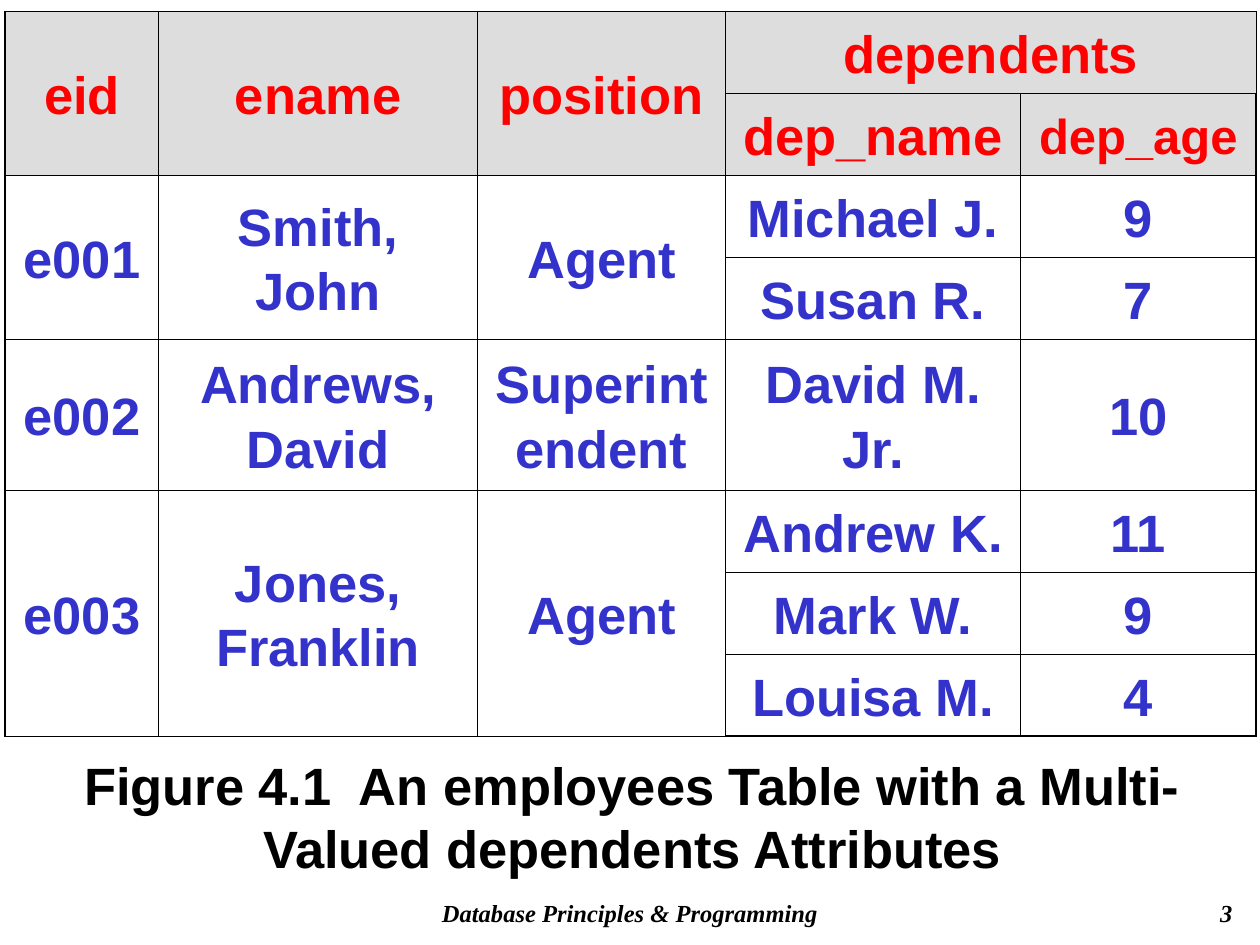
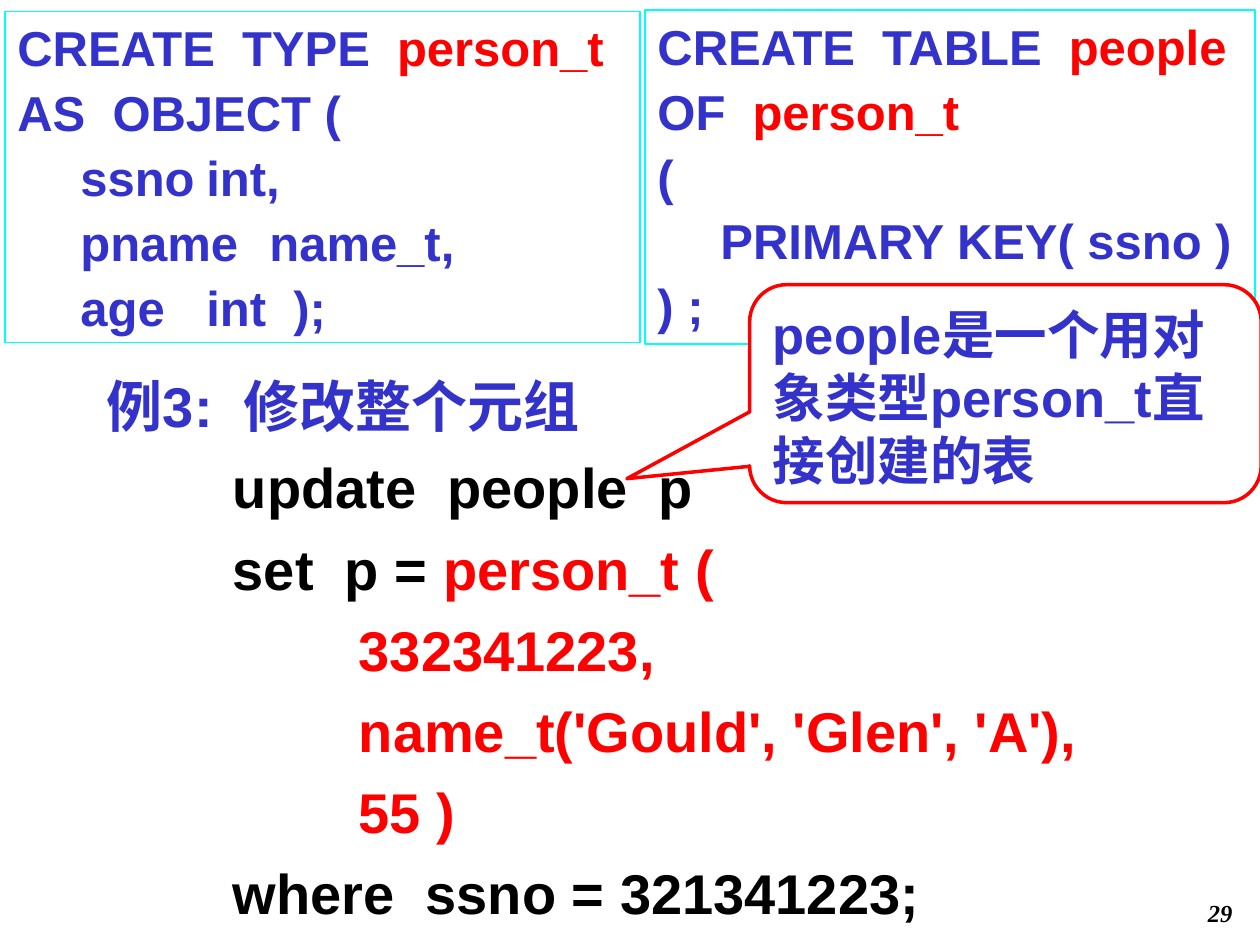
from dataclasses import dataclass

from lxml import etree
from pptx import Presentation
from pptx.dml.color import RGBColor
from pptx.enum.shapes import MSO_SHAPE
from pptx.enum.text import MSO_ANCHOR, PP_ALIGN
from pptx.oxml.ns import qn
from pptx.util import Inches, Pt

LEFT, CENTER, RIGHT = PP_ALIGN.LEFT, PP_ALIGN.CENTER, PP_ALIGN.RIGHT
TOP, MIDDLE = MSO_ANCHOR.TOP, MSO_ANCHOR.MIDDLE
RECTANGLE = MSO_SHAPE.RECTANGLE
CALLOUT = MSO_SHAPE.ROUNDED_RECTANGULAR_CALLOUT


@dataclass(frozen=True)
class Theme:
    sans: str = "Arial"
    serif: str = "Times New Roman"
    black: str = "000000"
    white: str = "FFFFFF"
    red: str = "FF0000"
    blue: str = "3333CC"
    cyan: str = "00FFFF"
    header_grey: str = "DDDDDD"
    footer_size: int = 14
    code_size: int = 28
    figure_size: int = 30
    example_size: int = 32
    line_height: float = 1.2
    cell_spacing: float = 1.1
    inner_border: float = 0.45
    outer_border: float = 1.08


THEME = Theme()


def rgb(color):
    return RGBColor.from_string(color)


def set_font(font, size, color=None, name=THEME.sans, italic=None):
    font.name = name
    font.size = Pt(size)
    font.bold = True
    font.italic = italic
    if color:
        font.color.rgb = rgb(color)


def set_tabs(paragraph, stops):
    tab_list = etree.SubElement(paragraph._p.get_or_add_pPr(), qn("a:tabLst"))
    for stop in stops:
        etree.SubElement(tab_list, qn("a:tab"), pos=str(Inches(stop)), algn="l")


def set_indent(paragraph, indent):
    properties = paragraph._p.get_or_add_pPr()
    properties.set("marL", str(Inches(indent)))
    properties.set("indent", "0")


def write_lines(frame, lines, size, align=LEFT, gap=0, tabs=(), **font_style):
    frame.word_wrap = True
    frame.vertical_anchor = TOP
    for number, (indent, pieces) in enumerate(lines):
        paragraph = frame.add_paragraph() if number else frame.paragraphs[0]
        set_indent(paragraph, indent)
        if tabs:
            set_tabs(paragraph, tabs)
        paragraph.alignment = align
        paragraph.line_spacing = Pt(size * THEME.line_height)
        paragraph.space_before = Pt(gap if number else 0)
        shared_color = pieces[0][1] if len(pieces) == 1 else None
        set_font(paragraph.font, size, shared_color, **font_style)
        for text, color in pieces:
            run = paragraph.add_run()
            run.text = text
            if not shared_color:
                run.font.color.rgb = rgb(color)


def add_label(slide, box, text, size, align, **font_style):
    label = slide.shapes.add_textbox(*map(Inches, box))
    write_lines(label.text_frame, [(0, [(text, THEME.black)])], size, align, **font_style)


def add_panel(slide, box, lines, size, outline=None, width=0.75, kind=RECTANGLE, **text_style):
    panel = slide.shapes.add_shape(kind, *map(Inches, box))
    panel.shadow.inherit = False
    panel.fill.solid()
    panel.fill.fore_color.rgb = rgb(THEME.white)
    if outline:
        panel.line.color.rgb = rgb(outline)
        panel.line.width = Pt(width)
    else:
        panel.line.fill.background()
    write_lines(panel.text_frame, lines, size, **text_style)
    return panel


def add_footer(slide, number, course=None):
    style = dict(name=THEME.serif, italic=True)
    if course:
        add_label(slide, (2.75, 7.08, 4.5, 0.33), course, THEME.footer_size, CENTER, **style)
    add_label(slide, (7.8, 7.08, 2.08, 0.33), str(number), THEME.footer_size, RIGHT, **style)


def set_borders(cell, outer_sides):
    properties = cell._tc.get_or_add_tcPr()
    for side in "LRTB":
        width = THEME.outer_border if side in outer_sides else THEME.inner_border
        line = etree.SubElement(properties, qn(f"a:ln{side}"), w=str(Pt(width)))
        fill = etree.SubElement(line, qn("a:solidFill"))
        etree.SubElement(fill, qn("a:srgbClr"), val=THEME.black)


def fill_cell(cell, text, is_header, size):
    cell.vertical_anchor = MIDDLE
    if is_header:
        cell.fill.solid()
        cell.fill.fore_color.rgb = rgb(THEME.header_grey)
    else:
        cell.fill.background()
    if text:
        paragraph = cell.text_frame.paragraphs[0]
        paragraph.alignment = CENTER
        paragraph.line_spacing = THEME.cell_spacing
        set_font(paragraph.font, size, THEME.red if is_header else THEME.blue)
        paragraph.add_run().text = text


def add_grid(slide, box, columns, heights, rows, merges, header_rows, small_labels):
    last_row, last_column = len(rows) - 1, len(columns) - 1
    frame = slide.shapes.add_table(len(rows), len(columns), *map(Inches, box))
    table = frame.table
    table.first_row = table.horz_banding = False
    for column, width in zip(table.columns, columns):
        column.width = Inches(width)
    for row, height in zip(table.rows, heights):
        row.height = Inches(height)
    for r, labels in enumerate(rows):
        for c, text in enumerate(labels):
            cell = table.cell(r, c)
            edges = {"L": c == 0, "R": c == last_column, "T": r == 0, "B": r == last_row}
            set_borders(cell, [side for side, outer in edges.items() if outer])
            size = THEME.code_size if text in small_labels else THEME.figure_size
            fill_cell(cell, text, r < header_rows, size)
    for first, last in merges:
        table.cell(*first).merge(table.cell(*last))


def build_employees(slide):
    add_footer(slide, 3, "Database Principles & Programming")
    rows = [
        ("eid", "ename", "position", "dependents", ""),
        ("", "", "", "dep_name", "dep_age"),
        ("e001", "Smith, John", "Agent", "Michael J.", "9"),
        ("", "", "", "Susan R.", "7"),
        ("e002", "Andrews, David", "Superintendent", "David M. Jr.", "10"),
        ("e003", "Jones, Franklin", "Agent", "Andrew K.", "11"),
        ("", "", "", "Mark W.", "9"),
        ("", "", "", "Louisa M.", "4"),
    ]
    employee_spans = [(0, 1), (2, 3), (5, 7)]
    merges = [((top, c), (bottom, c)) for top, bottom in employee_spans for c in range(3)]
    merges.append(((0, 3), (0, 4)))
    heights = [1.2 if row[0] == "e002" else 0.65 for row in rows]
    add_grid(slide, (0.04, 0.09, 9.92, 5.76), (1.22, 2.53, 1.97, 2.34, 1.87),
             heights, rows, merges, header_rows=2, small_labels={"dep_age"})
    add_label(slide, (0.04, 5.93, 9.96, 1.1),
              "Figure 4.1  An employees Table with a Multi-Valued dependents Attributes",
              THEME.figure_size, CENTER)


def build_update(slide):
    black, red, blue = THEME.black, THEME.red, THEME.blue
    add_footer(slide, 29)
    update_example = [
        (0, [("例3:  修改整个元组", blue)]),
        (1, [("update  people  p", black)]),
        (1, [("set  p = ", black), ("person_t (", red)]),
        (2, [("332341223,", red)]),
        (2, [("name_t('Gould', 'Glen', 'A'),", red)]),
        (2, [("55 )", red)]),
        (1, [("where  ssno = 321341223;", black)]),
    ]
    person_type = [
        (0, [("CREATE  TYPE  ", blue), ("person_t", red)]),
        (0, [("AS  OBJECT (", blue)]),
        (0, [("\tssno\tint,", blue)]),
        (0, [("\tpname\tname_t,", blue)]),
        (0, [("\tage\tint  );", blue)]),
    ]
    people_table = [
        (0, [("CREATE  TABLE  ", blue), ("people", red)]),
        (0, [("OF  ", blue), ("person_t", red)]),
        (0, [("(", blue)]),
        (0.5, [("PRIMARY KEY( ssno )", blue)]),
        (0, [(") ;", blue)]),
    ]
    people_note = [(0, [("people是一个用对象类型person_t直接创建的表", blue)])]

    add_panel(slide, (0.75, 2.9, 8.5, 4.55), update_example, THEME.example_size, gap=8)
    add_panel(slide, (0.04, 0.09, 5.04, 2.63), person_type, THEME.code_size,
              THEME.cyan, gap=3.5, tabs=(1, 2.95))
    add_panel(slide, (5.12, 0.08, 4.84, 2.65), people_table, THEME.code_size,
              THEME.cyan, gap=3.5)
    note = add_panel(slide, (5.95, 2.26, 4.06, 1.73), people_note, THEME.figure_size,
                     THEME.red, width=2, kind=CALLOUT)
    for index, value in enumerate((-0.74, 0.39, 0.17)):
        note.adjustments[index] = value


def main():
    deck = Presentation()
    deck.slide_width, deck.slide_height = Inches(10), Inches(7.5)
    blank = deck.slide_layouts[6]
    for build in (build_employees, build_update):
        build(deck.slides.add_slide(blank))
    deck.save("out.pptx")


if __name__ == "__main__":
    main()
